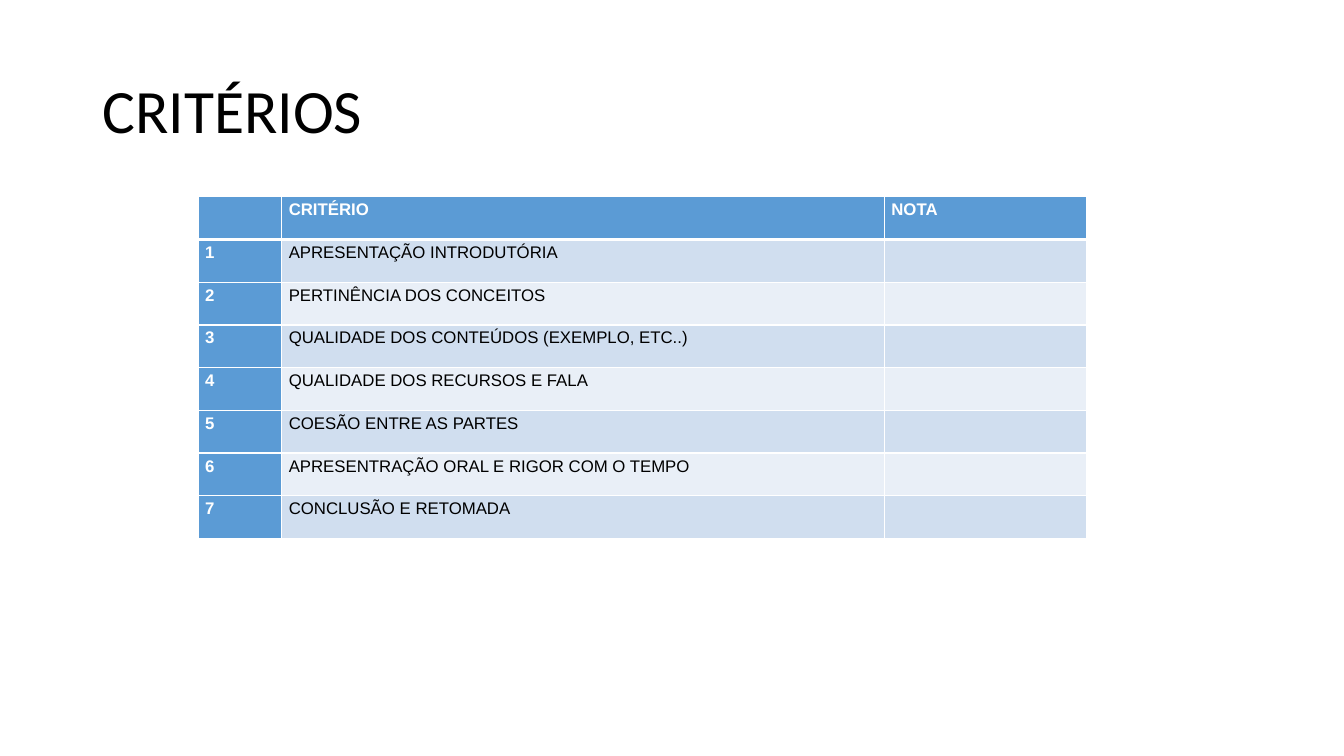
from dataclasses import dataclass

from lxml import etree
from pptx import Presentation
from pptx.dml.color import RGBColor
from pptx.enum.text import MSO_ANCHOR, MSO_AUTO_SIZE, PP_ALIGN
from pptx.oxml.ns import qn
from pptx.util import Cm, Pt

LEFT = PP_ALIGN.LEFT
MIDDLE = MSO_ANCHOR.MIDDLE
TOP = MSO_ANCHOR.TOP
NO_AUTOFIT = MSO_AUTO_SIZE.NONE
TITLE_ONLY = 5


@dataclass(frozen=True)
class Theme:
    """Colours, fonts and type sizes of the slide."""
    accent: str = "5B9BD5"
    bands: tuple = ("D0DEEF", "E9EFF7")
    light: str = "FFFFFF"
    dark: str = "000000"
    title_font: str = "Calibri"
    table_font: str = "Arial"
    title_size: int = 44
    table_size: int = 12
    thin_line: int = 1
    header_line: int = 3


THEME = Theme()
HEADER = ("", "CRITÉRIO", "NOTA")
CRITERIA = (
    "APRESENTAÇÃO INTRODUTÓRIA",
    "PERTINÊNCIA DOS CONCEITOS",
    "QUALIDADE DOS CONTEÚDOS (EXEMPLO, ETC..)",
    "QUALIDADE DOS RECURSOS E FALA",
    "COESÃO ENTRE AS PARTES",
    "APRESENTRAÇÃO ORAL E RIGOR COM O TEMPO",
    "CONCLUSÃO E RETOMADA",
)
COLUMN_SHARES = (0.83, 5.98, 2.01)


def set_attributes(target, values):
    """Set every named attribute of the target."""
    for name, value in values.items():
        setattr(target, name, value)


def format_text(paragraph, text, color, line_spacing, font_values):
    """Write one paragraph with its font, colour and line spacing."""
    paragraph.text = text
    set_attributes(paragraph, {"line_spacing": line_spacing, "alignment": LEFT})
    set_attributes(paragraph.font, font_values)
    paragraph.font.color.rgb = RGBColor.from_string(color)


def add_title(slide, box, text):
    """Place and format the title placeholder in the box."""
    title = slide.shapes.title
    set_attributes(title, dict(zip(("left", "top", "width", "height"), box)))
    set_attributes(title.text_frame, {
        "word_wrap": True, "auto_size": NO_AUTOFIT, "vertical_anchor": MIDDLE,
        "margin_left": Cm(0.25), "margin_right": Cm(0.25),
        "margin_top": Cm(0.13), "margin_bottom": Cm(0.13)})
    format_text(title.text_frame.paragraphs[0], text, THEME.dark, 0.9,
                {"name": THEME.title_font, "size": Pt(THEME.title_size), "bold": False})


def add_borders(cell, widths):
    """Draw the cell's sides with the given widths in points."""
    properties = cell._tc.get_or_add_tcPr()
    for side, width in widths.items():
        line = etree.SubElement(properties, qn(f"a:ln{side}"), w=str(Pt(width)))
        fill = etree.SubElement(line, qn("a:solidFill"))
        etree.SubElement(fill, qn("a:srgbClr"), val=THEME.light)


def format_cell(cell, text, row, column):
    """Fill, border and write one cell according to its place."""
    emphasized = row == 0 or column == 0
    add_borders(cell, {
        "L": THEME.thin_line,
        "R": THEME.thin_line,
        "T": THEME.header_line if row == 1 else THEME.thin_line,
        "B": THEME.header_line if row == 0 else THEME.thin_line})
    cell.fill.solid()
    color = THEME.accent if emphasized else THEME.bands[(row - 1) % 2]
    cell.fill.fore_color.rgb = RGBColor.from_string(color)
    set_attributes(cell, {
        "margin_left": Cm(0.18), "margin_right": Cm(0.18),
        "margin_top": 0, "margin_bottom": 0, "vertical_anchor": TOP})
    format_text(cell.text_frame.paragraphs[0], text,
                THEME.light if emphasized else THEME.dark, 1.2,
                {"name": THEME.table_font, "size": Pt(THEME.table_size),
                 "bold": emphasized})


def add_criteria_table(slide, box):
    """Build the grading table across the box."""
    rows = [HEADER] + [(str(number), criterion, "")
                       for number, criterion in enumerate(CRITERIA, 1)]
    width, height = box[2:]
    table = slide.shapes.add_table(len(rows), len(HEADER), *box).table
    for column, share in zip(table.columns, COLUMN_SHARES):
        column.width = int(width * share / sum(COLUMN_SHARES))
    for row, texts in enumerate(rows):
        table.rows[row].height = height // len(rows)
        for column, text in enumerate(texts):
            format_cell(table.cell(row, column), text, row, column)


def main():
    """Create the presentation with the criteria slide."""
    presentation = Presentation()
    set_attributes(presentation, {"slide_width": Cm(33.87), "slide_height": Cm(19.05)})
    slide = presentation.slides.add_slide(presentation.slide_layouts[TITLE_ONLY])
    add_title(slide, (Cm(2.33), Cm(1.01), Cm(29.21), Cm(3.68)), "CRITÉRIOS")
    add_criteria_table(slide, (Cm(4.99), Cm(4.96), Cm(22.4), Cm(8.61)))
    presentation.save("out.pptx")


if __name__ == "__main__":
    main()
